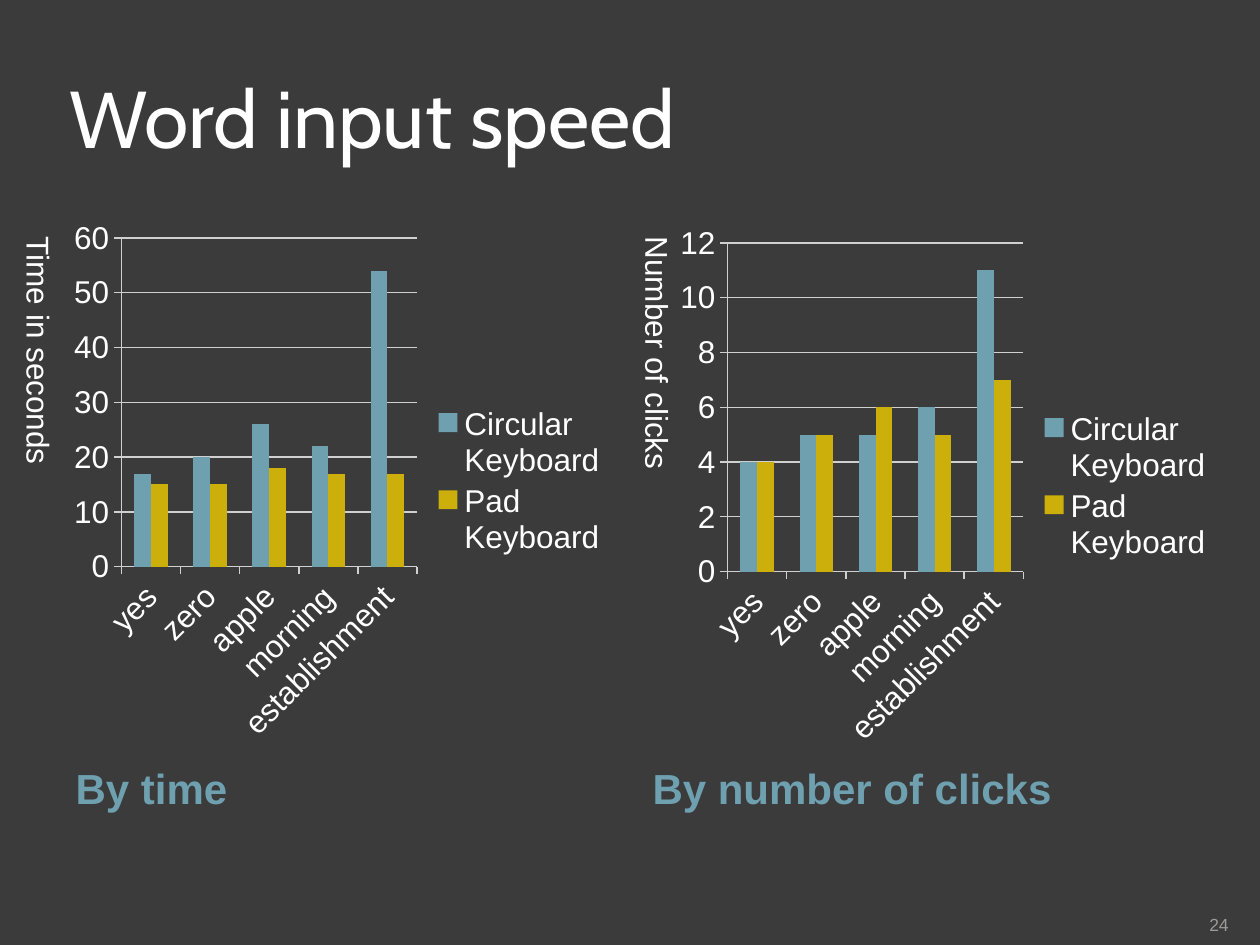
from dataclasses import dataclass

from pptx import Presentation
from pptx.chart.data import CategoryChartData
from pptx.dml.color import RGBColor
from pptx.enum.chart import XL_CHART_TYPE, XL_LEGEND_POSITION, XL_TICK_MARK
from pptx.enum.text import MSO_ANCHOR, MSO_AUTO_SIZE, PP_ALIGN
from pptx.util import Cm, Pt

BACKGROUND = RGBColor(0x3B, 0x3B, 0x3B)
WHITE = RGBColor(0xFF, 0xFF, 0xFF)
BLUE = RGBColor(0x6E, 0xA0, 0xB0)
GOLD = RGBColor(0xCC, 0xAF, 0x0A)
GREY = RGBColor(0x9D, 0x9B, 0x9A)
LINE = RGBColor(0xD0, 0xD0, 0xD0)

WORDS = ["yes", "zero", "apple", "morning", "establishment"]
KEYBOARDS = {"Circular Keyboard": BLUE, "Pad Keyboard": GOLD}
PANEL_WIDTH = 11.23


@dataclass
class Panel:
    caption: str
    caption_left: float
    placeholder: int
    axis_title: str
    axis_left: float
    axis_height: float
    chart_left: float
    chart_top: float
    values: list[list[int]]
    maximum: int
    step: int


PANELS = [
    Panel("By time", 1.27, 1, "Time in seconds", 0.03, 7.19, 1.27, 4.22,
          [[17, 20, 26, 22, 54], [15, 15, 18, 17, 17]], 60, 10),
    Panel("By number of clicks", 12.9, 3, "Number of clicks", 12.5, 7.01, 13.49, 4.32,
          [[4, 5, 5, 6, 11], [4, 5, 6, 5, 7]], 12, 2),
]


def apply(target, values: dict) -> None:
    for name, value in values.items():
        setattr(target, name, value)


def place(box, left: float, top: float, width: float, height: float) -> None:
    apply(box, {"left": Cm(left), "top": Cm(top), "width": Cm(width), "height": Cm(height)})


def write(box, text: str, size: int, color: RGBColor, font: str = "Arial",
          bold: bool = False, anchor=MSO_ANCHOR.TOP, align=PP_ALIGN.LEFT,
          margin: float | None = None) -> None:
    frame = box.text_frame
    apply(frame, {"word_wrap": True, "auto_size": MSO_AUTO_SIZE.NONE,
                  "vertical_anchor": anchor})
    if margin is not None:
        apply(frame, {f"margin_{side}": Cm(margin)
                      for side in ("left", "top", "right", "bottom")})
    para = frame.paragraphs[0]
    para.alignment = align
    span = para.add_run()
    span.text = text
    apply(span.font, {"name": font, "size": Pt(size), "bold": bold})
    span.font.color.rgb = color


def add_vertical_label(page, panel: Panel) -> None:
    box = page.shapes.add_textbox(Cm(panel.axis_left), Cm(4.52), Cm(1.27),
                                  Cm(panel.axis_height))
    write(box, panel.axis_title, 18, WHITE)
    box.text_frame._txBody.bodyPr.set("vert", "eaVert")


def add_column_chart(page, panel: Panel) -> None:
    data = CategoryChartData()
    data.categories = WORDS
    for name, values in zip(KEYBOARDS, panel.values):
        data.add_series(name, values)
    chart = page.shapes.add_chart(
        XL_CHART_TYPE.COLUMN_CLUSTERED, Cm(panel.chart_left), Cm(panel.chart_top),
        Cm(PANEL_WIDTH), Cm(10.95), data).chart

    apply(chart, {"has_title": False, "has_legend": True})
    apply(chart.font, {"name": "Arial", "size": Pt(18)})
    chart.font.color.rgb = WHITE
    apply(chart.legend, {"position": XL_LEGEND_POSITION.RIGHT, "include_in_layout": False})

    plot = chart.plots[0]
    apply(plot, {"gap_width": 150, "overlap": 0, "vary_by_categories": False})
    for series, color in zip(plot.series, KEYBOARDS.values()):
        series.format.fill.solid()
        series.format.fill.fore_color.rgb = color

    # Axes and gridlines
    value_axis = chart.value_axis
    apply(value_axis, {"minimum_scale": 0, "maximum_scale": panel.maximum,
                       "major_unit": panel.step, "has_major_gridlines": True})
    for axis in (chart.category_axis, value_axis):
        axis.major_tick_mark = XL_TICK_MARK.OUTSIDE
    for item in (chart.category_axis, value_axis, value_axis.major_gridlines):
        item.format.line.color.rgb = LINE
        item.format.line.width = Pt(0.75)
    chart.category_axis.tick_labels.font.size = Pt(18)
    chart.category_axis._element.txPr.bodyPr.set("rot", "-2700000")


def main() -> None:
    deck = Presentation()
    apply(deck, {"slide_width": Cm(25.4), "slide_height": Cm(19.05)})
    page = deck.slides.add_slide(deck.slide_layouts[4])
    page.background.fill.solid()
    page.background.fill.fore_color.rgb = BACKGROUND

    # Title
    title = page.shapes.title
    place(title, 1.27, 0.76, 22.86, 3.18)
    write(title, "Word input speed", 46, WHITE, font="Cabin",
          anchor=MSO_ANCHOR.MIDDLE, margin=0.13)

    # Content placeholders give way to the charts
    for index in (2, 4):
        element = page.placeholders[index]._element
        element.getparent().remove(element)

    # Two panels: caption, chart and vertical axis label
    for panel in PANELS:
        caption = page.placeholders[panel.placeholder]
        place(caption, panel.caption_left, 15.24, PANEL_WIDTH, 2.34)
        write(caption, panel.caption, 24, BLUE, bold=True)
        add_column_chart(page, panel)
        add_vertical_label(page, panel)

    # Page number
    number = page.shapes.add_textbox(Cm(22.66), Cm(17.83), Cm(2.11), Cm(1.02))
    write(number, "24", 10, GREY, anchor=MSO_ANCHOR.BOTTOM, align=PP_ALIGN.RIGHT, margin=0)

    deck.save("out.pptx")


if __name__ == "__main__":
    main()
